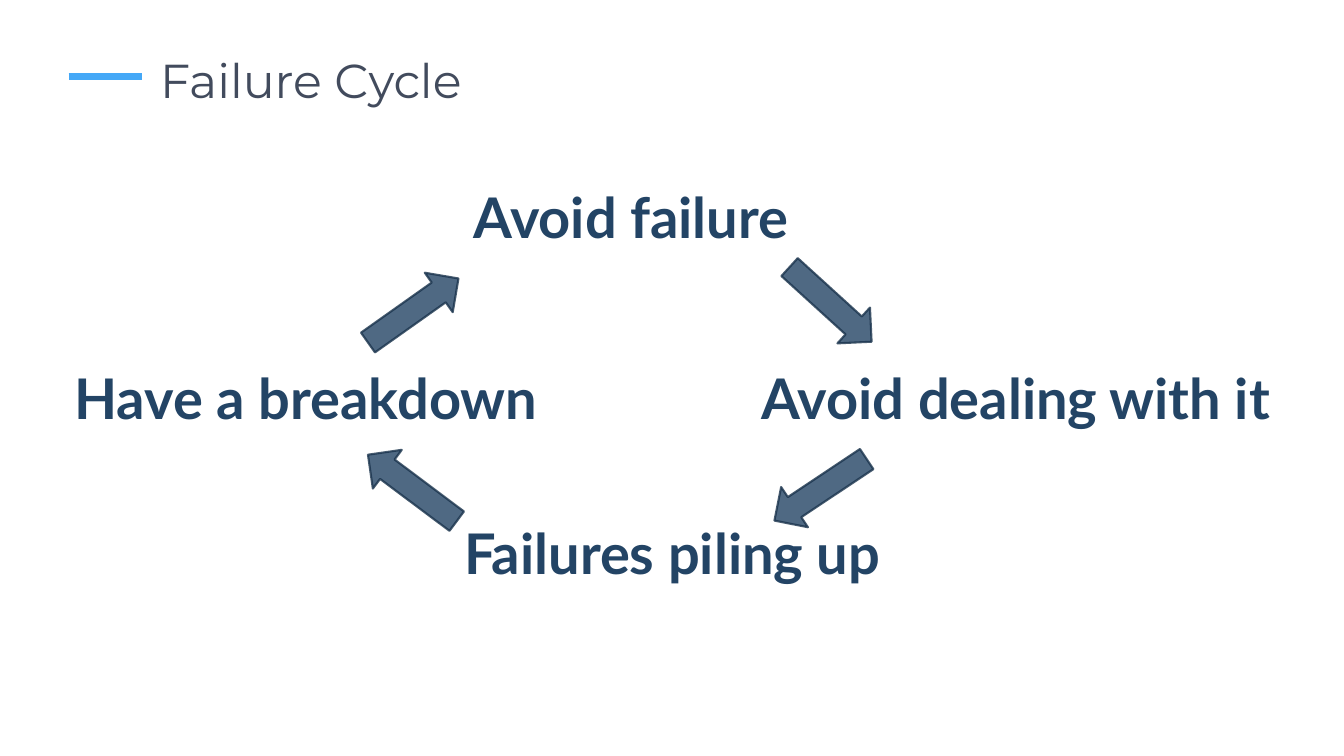
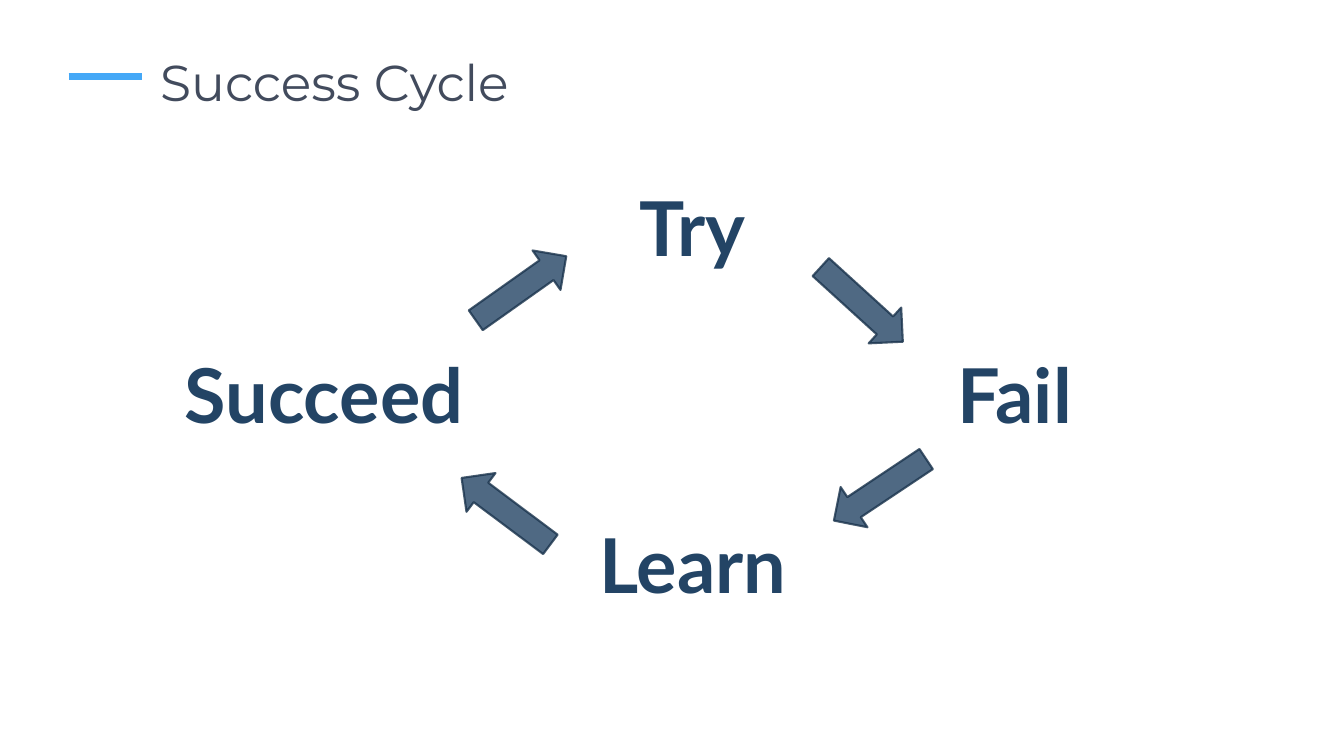
import pptx
import pptx.dml.color
import pptx.enum.shapes
import pptx.enum.text
import pptx.oxml
import pptx.oxml.ns
import pptx.util

Pt = pptx.util.Pt
RGBColor = pptx.dml.color.RGBColor

ACCENT = RGBColor(0x44, 0xA8, 0xF7)
TITLE = RGBColor(0x42, 0x4B, 0x5D)
NAVY = RGBColor(0x23, 0x44, 0x65)
OUTLINE = RGBColor(0x1A, 0x33, 0x4C)

ARROW_SIZE = (79.2, 34.56)
ARROW_ANGLES = (42.3, 146.3, 216.8, 324.7)
ARROW_OPACITY = 80

# Each cycle runs clockwise from the top.
# Labels: text, centre x, top, width. Arrows: left, top.
CYCLES = [
    {
        "title": "Failure Cycle", "title_size": 34, "label_size": 40, "label_height": 55.4,
        "labels": [
            ("Avoid failure", 450.7, 126.7, 245),
            ("Avoid dealing with it", 725.5, 256.3, 380),
            ("Failures piling up", 480.2, 366.5, 318),
            ("Have a breakdown", 218.5, 256.3, 352),
        ],
        "arrows": [(553.7, 200.2), (546.5, 332.6), (254.9, 331.2), (255.6, 204.5)],
    },
    {
        "title": "Success Cycle", "title_size": 36, "label_size": 54, "label_height": 72.7,
        "labels": [
            ("Try", 494.6, 126, 96.5),
            ("Fail", 725, 244.8, 101),
            ("Learn", 495, 366.5, 150.5),
            ("Succeed", 231.5, 244.8, 216.7),
        ],
        "arrows": [(576, 200.2), (589, 332.6), (321.8, 347.8), (332.6, 188.6)],
    },
]


def set_attributes(target, values):
    for name, value in values.items():
        setattr(target, name, value)


class CycleDeck:
    """Holds the shared style and the slide being built."""

    title_font = {"name": "Montserrat"}
    label_font = {"name": "Lato", "bold": True}
    title_frame = {
        "word_wrap": True, "margin_left": Pt(8.64), "margin_right": Pt(8.64),
        "margin_top": Pt(3), "margin_bottom": Pt(3),
    }
    label_frame = {"word_wrap": False,
                   "auto_size": pptx.enum.text.MSO_AUTO_SIZE.SHAPE_TO_FIT_TEXT}
    title_paragraph = {"line_spacing": 1.05, "space_after": Pt(6)}
    label_paragraph = {"alignment": pptx.enum.text.PP_ALIGN.CENTER}

    def __init__(self):
        self.presentation = pptx.Presentation()
        set_attributes(self.presentation,
                       {"slide_width": Pt(960), "slide_height": Pt(540)})
        self.slide = None

    def add_slide(self):
        blank_layout = self.presentation.slide_layouts[6]
        self.slide = self.presentation.slides.add_slide(blank_layout)

    def add_text(self, text, box, frame, paragraph_format, font, size, color):
        text_frame = self.slide.shapes.add_textbox(*map(Pt, box)).text_frame
        set_attributes(text_frame, frame)
        paragraph = text_frame.paragraphs[0]
        set_attributes(paragraph, paragraph_format)
        run = paragraph.add_run()
        run.text = text
        set_attributes(run.font, {**font, "size": Pt(size)})
        run.font.color.rgb = color

    def add_title(self, text, size):
        # Accent line before the title
        line = self.slide.shapes.add_connector(
            pptx.enum.shapes.MSO_CONNECTOR.STRAIGHT,
            Pt(49), Pt(54.7), Pt(101.5), Pt(54.7))
        line.line.width = Pt(5)
        line.line.color.rgb = ACCENT
        properties = line._element.spPr
        properties.append(pptx.oxml.parse_xml(
            f'<a:effectLst {pptx.oxml.ns.nsdecls("a")}/>'))
        self.add_text(text, (105.8, 31, 800, 54), self.title_frame,
                      self.title_paragraph, self.title_font, size, TITLE)

    def add_label(self, text, center, top, width, height, size):
        self.add_text(text, (center - width / 2, top, width, height), self.label_frame,
                      self.label_paragraph, self.label_font, size, NAVY)

    def add_arrow(self, left, top, angle):
        shape = self.slide.shapes.add_shape(
            pptx.enum.shapes.MSO_SHAPE.RIGHT_ARROW, *map(Pt, (left, top, *ARROW_SIZE)))
        shape.rotation = angle
        shape.shadow.inherit = False
        shape.fill.solid()
        shape.fill.fore_color.rgb = NAVY
        shape.line.width = Pt(1.5)
        shape.line.color.rgb = OUTLINE
        # Same transparency for fill and outline
        for color in shape._element.spPr.iter(pptx.oxml.ns.qn("a:srgbClr")):
            color.append(pptx.oxml.parse_xml(
                f'<a:alpha {pptx.oxml.ns.nsdecls("a")} val="{ARROW_OPACITY * 1000}"/>'))

    def add_cycle(self, cycle):
        self.add_slide()
        self.add_title(cycle["title"], cycle["title_size"])
        for label in cycle["labels"]:
            self.add_label(*label, cycle["label_height"], cycle["label_size"])
        for position, angle in zip(cycle["arrows"], ARROW_ANGLES):
            self.add_arrow(*position, angle)


def main():
    deck = CycleDeck()
    for cycle in CYCLES:
        deck.add_cycle(cycle)
    deck.presentation.save("out.pptx")


if __name__ == "__main__":
    main()
